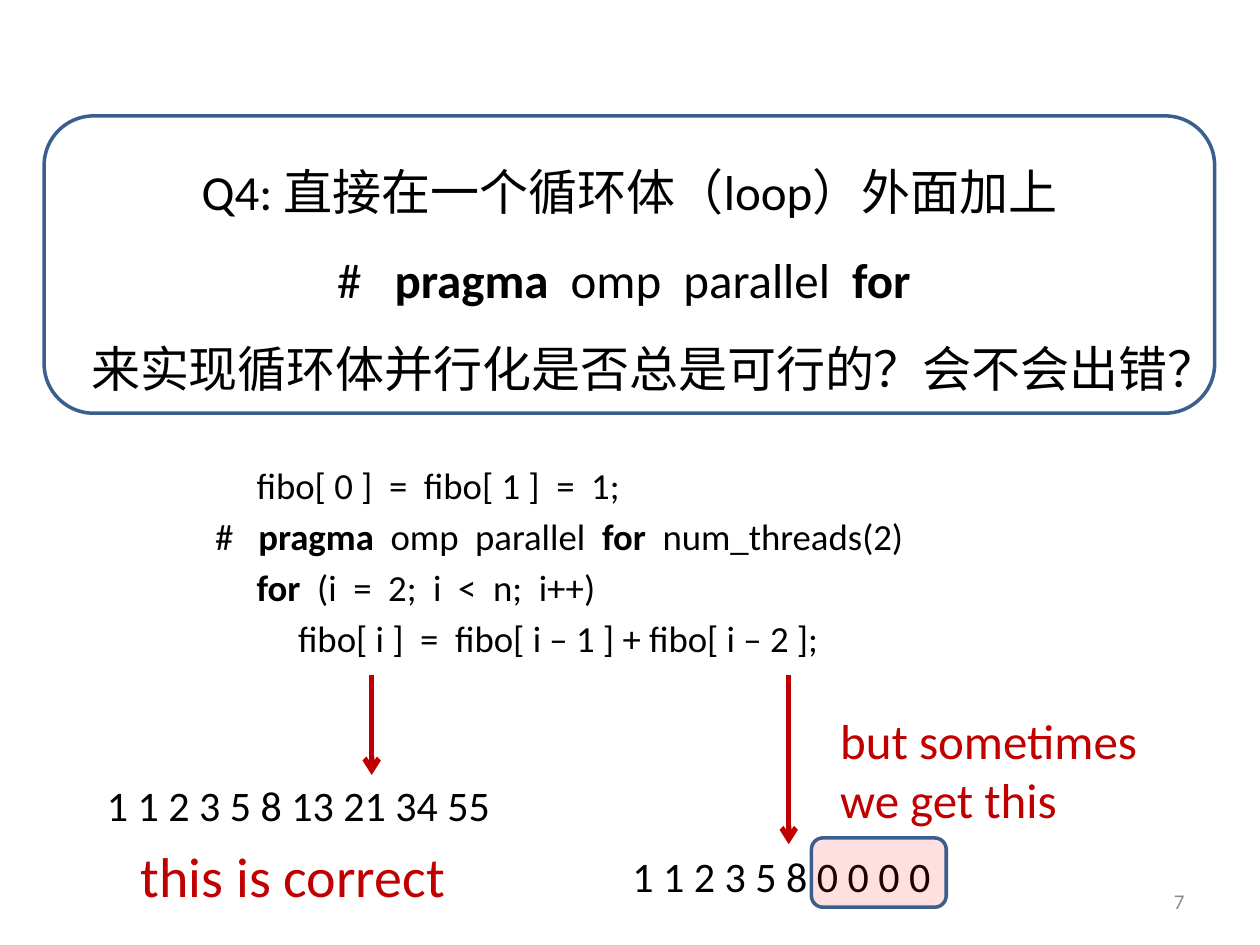
from dataclasses import dataclass

from lxml.etree import SubElement
from pptx import Presentation
from pptx.dml.color import RGBColor
from pptx.enum.shapes import MSO_CONNECTOR as Connector, MSO_SHAPE as Shape
from pptx.enum.text import MSO_ANCHOR as Anchor, MSO_AUTO_SIZE as AutoSize, PP_ALIGN as Align
from pptx.oxml.ns import qn
from pptx.util import Inches, Pt


@dataclass(frozen=True)
class Theme:
    """Colours, fonts and sizes of the slide."""
    black: RGBColor = RGBColor(0, 0, 0)
    grey: RGBColor = RGBColor(0x8C, 0x8C, 0x8C)
    accent: RGBColor = RGBColor(0xC0, 0, 0)
    outline: RGBColor = RGBColor(0x3A, 0x5F, 0x8C)
    highlight: RGBColor = RGBColor(0xFF, 0, 0)
    highlight_alpha: int = 12
    latin: str = "Calibri"
    east_asian: str = "Noto Sans CJK SC"
    question: int = 28
    code: int = 21
    code_gap: int = 4
    result: int = 24
    verdict: int = 32
    remark: int = 28
    number: int = 12
    outline_width: int = 2
    arrow_width: int = 3


THEME = Theme()

QUESTION = [
    [("Q4: 直接在一个循环体（loop）外面加上", False)],
    [("#   ", False), ("pragma  ", True), ("omp  parallel  ", False), ("for ", True)],
    [("来实现循环体并行化是否总是可行的？会不会出错？", False)],
]
CODE = [
    [("     fibo[ 0 ]  =  fibo[ 1 ]  =  1;", False)],
    [("#   ", False), ("pragma  ", True), ("omp  parallel  ", False), ("for  ", True),
     ("num_threads(2)", False)],
    [("     for", True), ("  (i  =  2;  i  <  n;  i++)", False)],
    [("          fibo[ i ]  =  fibo[ i – 1 ] + fibo[ i – 2 ];", False)],
]


def to_inches(box):
    """Turn a tuple of numbers into lengths."""
    return [Inches(value) for value in box]


def add_run(paragraph, text, size, color, bold=False):
    """Append one styled run to a paragraph."""
    run = paragraph.add_run()
    run.text = text
    font = run.font
    font.size, font.bold, font.name = Pt(size), bold, THEME.latin
    font.color.rgb = color
    SubElement(run._r.get_or_add_rPr(), qn("a:ea"), typeface=THEME.east_asian)


def fill_text(frame, lines, size, color, align=Align.LEFT, spacing=None, gap=0):
    """Write lines of (text, bold) runs as paragraphs."""
    for index, line in enumerate(lines):
        paragraph = frame.add_paragraph() if index else frame.paragraphs[0]
        paragraph.alignment = align
        if spacing:
            paragraph.line_spacing = spacing
        if index and gap:
            paragraph.space_before = Pt(gap)
        for text, bold in line:
            add_run(paragraph, text, size, color, bold)


def add_text_frame(slide, box, wrap=True):
    """Add a text box that grows with its text and return its frame."""
    frame = slide.shapes.add_textbox(*to_inches(box)).text_frame
    frame.word_wrap = wrap
    frame.auto_size = AutoSize.SHAPE_TO_FIT_TEXT
    return frame


def add_rounded_box(slide, box):
    """Add an outlined rounded rectangle without fill."""
    shape = slide.shapes.add_shape(Shape.ROUNDED_RECTANGLE, *to_inches(box))
    shape.shadow.inherit = False
    shape.fill.background()
    shape.line.color.rgb = THEME.outline
    shape.line.width = Pt(THEME.outline_width)
    return shape


def add_question(slide, box):
    """Place the framed question."""
    frame = add_rounded_box(slide, box).text_frame
    frame.word_wrap = True
    frame.vertical_anchor = Anchor.MIDDLE
    fill_text(frame, QUESTION, THEME.question, THEME.black, Align.CENTER, spacing=1.5)


def add_code(slide, box):
    """Place the parallel loop listing."""
    frame = add_text_frame(slide, box, wrap=False)
    fill_text(frame, CODE, THEME.code, THEME.black, gap=THEME.code_gap)


def add_label(slide, box, text, size, color, wrap=False):
    """Place a one-line label."""
    fill_text(add_text_frame(slide, box, wrap), [[(text, False)]], size, color)


def add_remark(slide, box):
    """Place the two-line remark on the wrong result."""
    paragraph = add_text_frame(slide, box).paragraphs[0]
    add_run(paragraph, "but sometimes", THEME.remark, THEME.accent)
    paragraph.add_line_break()
    add_run(paragraph, "we get this", THEME.remark, THEME.accent)


def add_down_arrow(slide, x, top, bottom):
    """Draw a vertical arrow from the code to a result."""
    arrow = slide.shapes.add_connector(
        Connector.STRAIGHT, *to_inches((x, top, x, bottom)))
    arrow.line.color.rgb = THEME.accent
    arrow.line.width = Pt(THEME.arrow_width)
    SubElement(arrow.line._get_or_add_ln(), qn("a:tailEnd"), type="arrow")
    SubElement(arrow._element.spPr, qn("a:effectLst"))


def add_highlight(slide, box):
    """Mark the wrong values with a translucent box."""
    shape = add_rounded_box(slide, box)
    shape.fill.solid()
    shape.fill.fore_color.rgb = THEME.highlight
    color = shape._element.spPr.find(qn("a:solidFill")).find(qn("a:srgbClr"))
    SubElement(color, qn("a:alpha"), val=str(THEME.highlight_alpha * 1000))


def add_slide_number(slide, box, number):
    """Place the slide number at the lower right."""
    frame = slide.shapes.add_textbox(*to_inches(box)).text_frame
    frame.word_wrap = True
    frame.vertical_anchor = Anchor.MIDDLE
    fill_text(frame, [[(number, False)]], THEME.number, THEME.grey, Align.RIGHT)


def main():
    """Build the slide and save it."""
    presentation = Presentation()
    presentation.slide_width, presentation.slide_height = Inches(10), Inches(7.5)
    slide = presentation.slides.add_slide(presentation.slide_layouts[6])
    add_slide_number(slide, (7.17, 6.95, 2.33, 0.4), "7")
    add_question(slide, (0.35, 0.92, 9.29, 2.36))
    add_label(slide, (0.75, 6.14, 3.94, 0.51), "1 1 2 3 5 8 13 21 34 55",
              THEME.result, THEME.black, wrap=True)
    add_label(slide, (4.92, 6.7, 2.91, 0.51), "1 1 2 3 5 8 0 0 0 0",
              THEME.result, THEME.black)
    for x, bottom in ((2.95, 6.15), (6.26, 6.7)):
        add_down_arrow(slide, x, 5.36, bottom)
    add_label(slide, (1.02, 6.63, 2.64, 0.64), "this is correct",
              THEME.verdict, THEME.accent)
    add_remark(slide, (6.57, 5.59, 2.99, 1.04))
    add_code(slide, (1.61, 3.62, 5.9, 1.73))
    add_highlight(slide, (6.44, 6.65, 1.07, 0.55))
    presentation.save("out.pptx")


if __name__ == "__main__":
    main()
